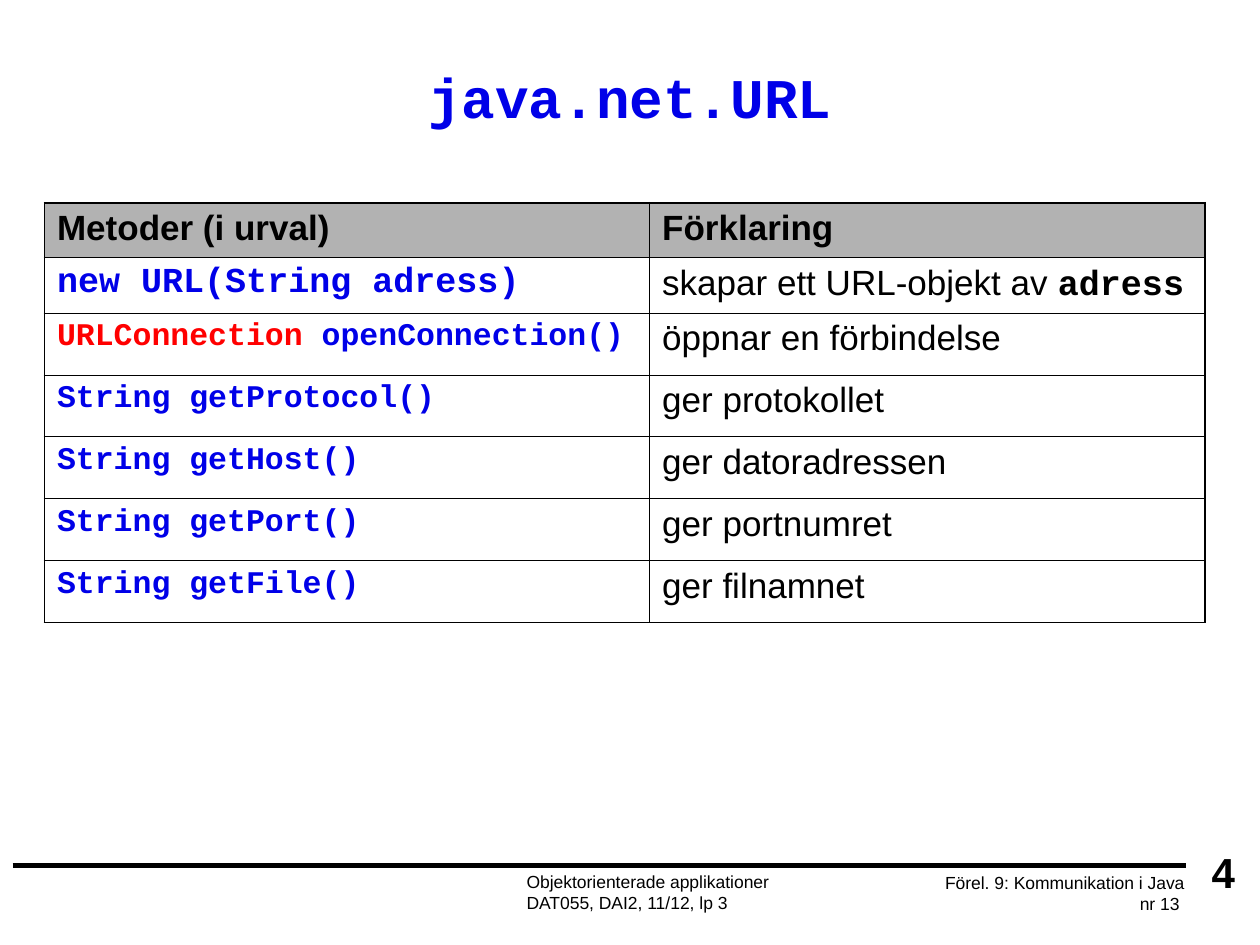
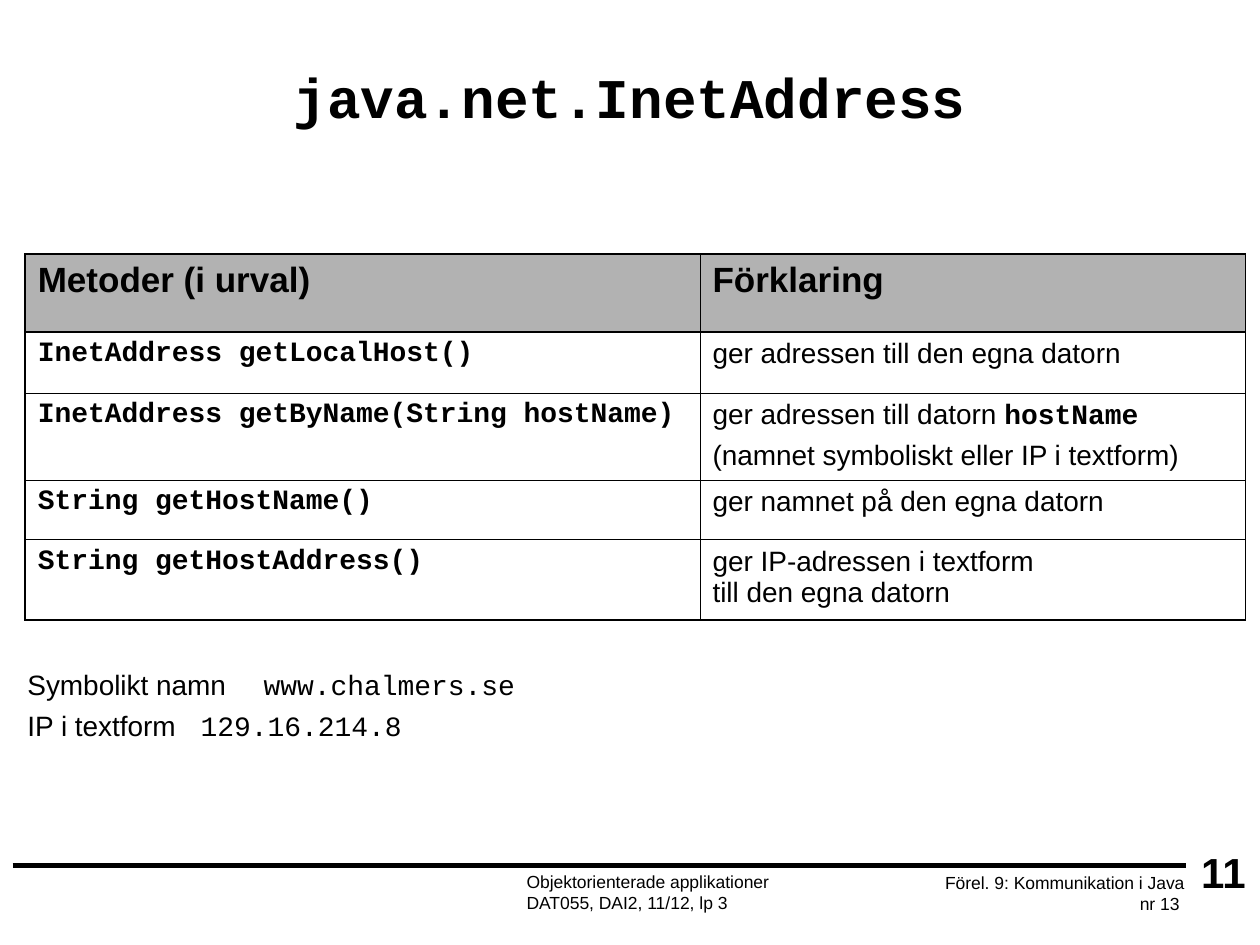
from dataclasses import dataclass

from lxml import etree
from pptx import Presentation
from pptx.dml.color import RGBColor
from pptx.enum.shapes import MSO_CONNECTOR
from pptx.enum.text import MSO_ANCHOR, PP_ALIGN
from pptx.oxml.ns import qn
from pptx.slide import Slide
from pptx.table import Table, _Cell
from pptx.text.text import TextFrame, _Paragraph
from pptx.util import Pt

COLORS = {"black": "000000", "blue": "0000E8", "red": "FF0000", "header": "B2B2B2"}
BODY_FONT = "Arial"
CODE_FONT = "Courier New"
OUTER_LINE = 1.08
INNER_LINE = 0.45
SPACE_SHARE = 0.25  # space before a paragraph, as a share of its text size


@dataclass(frozen=True)
class TextRun:
    text: str
    size: float
    font: str = BODY_FONT
    color: str = "black"
    bold: bool = False


@dataclass(frozen=True)
class Box:
    left: float
    top: float
    width: float
    height: float


Line = list[TextRun]
CellText = list[Line]


@dataclass(frozen=True)
class MethodTable:
    left: float
    top: float
    widths: list[float]
    heights: list[float]
    rows: list[tuple[CellText, CellText]]


def plain(text: str, size: float) -> TextRun:
    return TextRun(text, size)


def code(text: str, size: float, color: str = "black") -> TextRun:
    return TextRun(text, size, CODE_FONT, color, True)


def add_run(paragraph: _Paragraph, text_run: TextRun) -> None:
    """Add the run; a newline in its text becomes a line break."""
    for index, part in enumerate(text_run.text.split("\n")):
        if index:
            paragraph.add_line_break()
        run = paragraph.add_run()
        run.text = part
        run.font.name = text_run.font
        run.font.size = Pt(text_run.size)
        run.font.bold = text_run.bold
        run.font.color.rgb = RGBColor.from_string(COLORS[text_run.color])


def write_lines(frame: TextFrame, lines: CellText, align: PP_ALIGN = PP_ALIGN.LEFT,
                space_share: float = 0) -> None:
    for index, line in enumerate(lines):
        paragraph = frame.add_paragraph() if index else frame.paragraphs[0]
        paragraph.alignment = align
        if index and space_share:
            paragraph.space_before = Pt(line[0].size * space_share)
        for text_run in line:
            add_run(paragraph, text_run)


def add_text(slide: Slide, box: Box, lines: CellText, align: PP_ALIGN = PP_ALIGN.LEFT,
             anchor: MSO_ANCHOR = MSO_ANCHOR.MIDDLE, space_share: float = 0) -> TextFrame:
    shape = slide.shapes.add_textbox(Pt(box.left), Pt(box.top), Pt(box.width), Pt(box.height))
    frame = shape.text_frame
    frame.word_wrap = True
    frame.vertical_anchor = anchor
    write_lines(frame, lines, align, space_share)
    return frame


def add_frame(slide: Slide, title: str, title_color: str, number: int) -> None:
    """Draw the title, the footer rule, both footers and the slide number."""
    rule = slide.shapes.add_connector(
        MSO_CONNECTOR.STRAIGHT, Pt(7.2), Pt(494.6), Pt(677.5), Pt(494.6))
    rule.line.width = Pt(3)
    rule.line.color.rgb = RGBColor.from_string(COLORS["black"])
    etree.SubElement(rule._element.spPr, qn("a:effectLst"))

    course = ["Objektorienterade applikationer", "DAT055, DAI2, 11/12, lp 3"]
    lecture = ["Förel. 9: Kommunikation i Java", "nr 13 "]
    add_text(slide, Box(293.8, 492, 192, 36), [[plain(text, 10)] for text in course])
    add_text(slide, Box(491.8, 492.5, 192, 36), [[plain(text, 10)] for text in lecture],
             PP_ALIGN.RIGHT)
    title_frame = add_text(slide, Box(0, 24, 720, 54), [[code(title, 32, title_color)]],
                           PP_ALIGN.CENTER)
    title_frame.paragraphs[0].line_spacing = 1.2
    add_text(slide, Box(678.2, 480, 41.8, 36), [[TextRun(str(number), 24, bold=True)]],
             PP_ALIGN.CENTER)


def set_borders(cell: _Cell, widths: dict[str, float]) -> None:
    properties = cell._tc.get_or_add_tcPr()
    for side, width in widths.items():
        line = etree.SubElement(properties, qn(f"a:ln{side}"), w=str(int(Pt(width))))
        fill = etree.SubElement(line, qn("a:solidFill"))
        etree.SubElement(fill, qn("a:srgbClr"), val=COLORS["black"])


def style_cell(table: Table, row: int, column: int) -> None:
    """Thick lines surround the table and its header; the others are thin."""
    last_row, last_column = len(table.rows) - 1, len(table.columns) - 1
    thick = {
        "L": column == 0,
        "R": column == last_column,
        "T": row <= 1,
        "B": row in (0, last_row),
    }
    cell = table.cell(row, column)
    set_borders(cell, {side: OUTER_LINE if is_thick else INNER_LINE
                       for side, is_thick in thick.items()})
    if row == 0:
        cell.fill.solid()
        cell.fill.fore_color.rgb = RGBColor.from_string(COLORS["header"])
    else:
        cell.fill.background()


def add_method_table(slide: Slide, methods: MethodTable) -> None:
    header = tuple([[TextRun(text, 20, bold=True)]]
                   for text in ("Metoder (i urval)", "Förklaring"))
    rows = [header, *methods.rows]
    table = slide.shapes.add_table(
        len(rows), len(methods.widths), Pt(methods.left), Pt(methods.top),
        Pt(sum(methods.widths)), Pt(sum(methods.heights))).table
    for column, width in zip(table.columns, methods.widths):
        column.width = Pt(width)
    for row, height in zip(table.rows, methods.heights):
        row.height = Pt(height)
    for row_index, texts in enumerate(rows):
        for column_index, lines in enumerate(texts):
            style_cell(table, row_index, column_index)
            write_lines(table.cell(row_index, column_index).text_frame, lines,
                        space_share=SPACE_SHARE)


def set_tabs(paragraph: _Paragraph, hanging: float, stops: list[float]) -> None:
    properties = paragraph._p.get_or_add_pPr()
    properties.set("marL", str(int(Pt(hanging))))
    properties.set("indent", str(-int(Pt(hanging))))
    tab_list = etree.SubElement(properties, qn("a:tabLst"))
    for stop in stops:
        etree.SubElement(tab_list, qn("a:tab"), pos=str(int(Pt(stop))), algn="l")


def build_url_slide(slide: Slide) -> None:
    add_frame(slide, "java.net.URL", "blue", 4)
    getters = [
        ("String getProtocol()", "ger protokollet"),
        ("String getHost()", "ger datoradressen"),
        ("String getPort()", "ger portnumret"),
        ("String getFile()", "ger filnamnet"),
    ]
    rows = [
        ([[code("new URL(String adress)", 20, "blue")]],
         [[plain("skapar ett URL-objekt av ", 20), code("adress", 20)]]),
        ([[code("URLConnection", 18, "red"), code(" openConnection()", 18, "blue")]],
         [[plain("öppnar en förbindelse", 20)]]),
        *[([[code(method, 18, "blue")]], [[plain(meaning, 20)]])
          for method, meaning in getters],
    ]
    add_method_table(slide, MethodTable(
        25.4, 115.9, [345.8, 317.3], [31, 31.7] + [35.4] * 5, rows))


def build_inet_address_slide(slide: Slide) -> None:
    add_frame(slide, "java.net.InetAddress", "black", 11)
    meanings = [
        ("InetAddress getLocalHost()", [[plain("ger adressen till den egna datorn", 16)]]),
        ("InetAddress getByName(String hostName)",
         [[plain("ger adressen till datorn ", 16), code("hostName", 16)],
          [plain("(namnet symboliskt eller IP i textform)", 16)]]),
        ("String getHostName()", [[plain("ger namnet på den egna datorn", 16)]]),
        ("String getHostAddress()",
         [[plain("ger IP-adressen i textform\ntill den egna datorn", 16)]]),
    ]
    rows = [([[code(method, 16)]], meaning) for method, meaning in meanings]
    add_method_table(slide, MethodTable(
        14.4, 145.3, [385.6, 311.8], [44.6, 34.9, 49.7, 33.9, 45.9], rows))

    examples = [("Symbolikt namn\t", "www.chalmers.se"), ("IP i textform\t", "129.16.214.8")]
    frame = add_text(
        slide, Box(8.6, 378, 669, 62.6),
        [[plain(label, 16), TextRun(value, 16, CODE_FONT)] for label, value in examples],
        anchor=MSO_ANCHOR.TOP, space_share=SPACE_SHARE)
    for paragraph in frame.paragraphs:
        set_tabs(paragraph, 27, [72, 144])


def main() -> None:
    presentation = Presentation()
    presentation.slide_width = Pt(720)
    presentation.slide_height = Pt(540)
    blank_layout = presentation.slide_layouts[6]
    for build in (build_url_slide, build_inet_address_slide):
        build(presentation.slides.add_slide(blank_layout))
    presentation.save("out.pptx")


if __name__ == "__main__":
    main()
